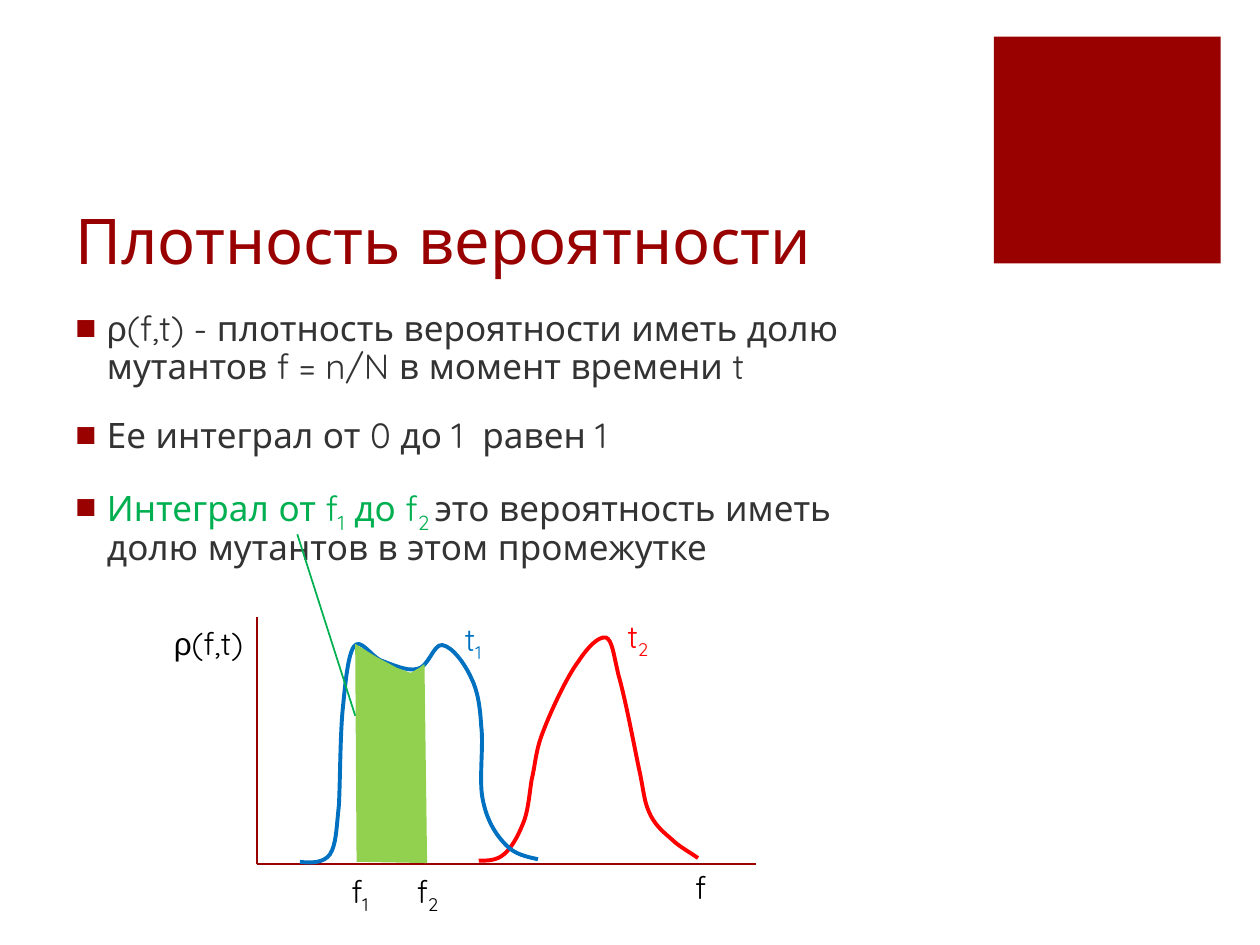
from lxml import etree
from pptx import Presentation
from pptx.dml.color import RGBColor
from pptx.enum.shapes import MSO_CONNECTOR, MSO_SHAPE
from pptx.enum.text import MSO_ANCHOR
from pptx.oxml.ns import qn
from pptx.util import Pt

STRAIGHT = MSO_CONNECTOR.STRAIGHT
RECTANGLE = MSO_SHAPE.RECTANGLE
TOP, BOTTOM = MSO_ANCHOR.TOP, MSO_ANCHOR.BOTTOM

DARK_RED = RGBColor(0x99, 0x00, 0x00)
GREY = RGBColor(0x33, 0x33, 0x33)
BLACK = RGBColor(0x00, 0x00, 0x00)
GREEN = RGBColor(0x00, 0xB0, 0x50)
LIGHT_GREEN = RGBColor(0x92, 0xD0, 0x50)
BLUE = RGBColor(0x00, 0x70, 0xC0)
RED = RGBColor(0xFF, 0x00, 0x00)
MAIN_FONT, GREEK_FONT = "Quicksand", "Arial"
SUBSCRIPT = "-25000"

# Content: a span is (text, colour, kind), kind being "", "greek" or "sub"
TITLE = [[("Плотность вероятности", DARK_RED, "")]]
BULLETS = [
    [("ρ", GREY, "greek"),
     ("(f,t) - плотность вероятности иметь долю мутантов f = n/N в момент времени t", GREY, "")],
    [("Ее интеграл от 0 до 1  равен 1", GREY, "")],
    [("Интеграл от f", GREEN, ""), ("1", GREEN, "sub"), (" до f", GREEN, ""),
     ("2 ", GREEN, "sub"), ("это вероятность иметь долю мутантов в этом промежутке", GREY, "")],
]
# Chart labels: left, top, width, spans
LABELS = [
    (92.2, 352.8, 73.4, [("ρ", BLACK, "greek"), ("(f,t)", BLACK, "")]),
    (390.2, 492.5, 28.8, [("f", BLACK, "")]),
    (193.7, 494.6, 27.4, [("f", BLACK, ""), ("1", BLACK, "sub")]),
    (231.1, 494.6, 27.4, [("f", BLACK, ""), ("2", BLACK, "sub")]),
    (258.5, 350.6, 53.3, [("t", BLUE, ""), ("1", BLUE, "sub")]),
    (351.4, 349.2, 53.3, [("t", RED, ""), ("2", RED, "sub")]),
]
ORIGIN = (146.9, 493.9)
AXES = [(ORIGIN, (432, 493.9)), (ORIGIN, (146.9, 352.8))]
POINTER = ((169.9, 305.3), (203, 409))

# Curves: a start point, then two handles and an end point per segment
CURVE_T2 = [
    (273.6, 491.8), (278.6, 491.8), (283.7, 491.8), (288, 488.2),
    (292.3, 484.6), (295.9, 478.1), (298.8, 470.9), (301.7, 464.4), (302.4, 455), (303.8, 445.7),
    (306, 437), (306, 429.1), (310.3, 418.3), (314.6, 406.8), (324, 386.6), (330.5, 378),
    (336.2, 369.4), (342, 363.6), (346.3, 364.3), (349.9, 365.8), (350.6, 373.7), (353.5, 385.9),
    (357.1, 398.2), (362.2, 424.8), (365, 438.5), (367.9, 451.4), (367.9, 457.2), (370.8, 463.7),
    (373.7, 470.9), (378.7, 475.2), (383.8, 479.5), (388.1, 483.8), (393.8, 486.7), (398.9, 490.3),
]
CURVE_T1 = [
    (171.4, 492.5), (177.8, 493.2), (185, 493.2), (188.6, 488.2),
    (192.2, 482.4), (192.2, 473.8), (193.7, 460.1), (194.4, 446.4), (194.4, 421.2), (195.8, 406.1),
    (197.3, 391), (198.7, 374.4), (202.3, 369.4), (205.9, 364.3), (211.7, 374.4), (217.4, 377.3),
    (223.2, 379.4), (232.6, 383.8), (238.3, 382.3), (244.8, 381.6), (247.7, 367.9), (252.7, 368.6),
    (258.5, 369.4), (265.7, 379.4), (269.3, 387.4), (272.9, 394.6), (274.3, 403.2), (275, 414.7),
    (276.5, 426.2), (273.6, 445.7), (275.8, 456.5), (277.9, 468), (283, 476.6), (288.7, 482.4),
    (293.8, 488.2), (301, 489.6), (307.4, 491),
]
AREA = [(203.8, 492.5), (203, 367.9), (214.6, 375.1), (226.8, 381.6),
        (234.7, 384.5), (239.8, 381.6), (242.6, 379.4), (244.1, 493.2)]


def add_bullet(para):
    properties = para._p.get_or_add_pPr()
    properties.set("marL", str(Pt(18)))
    properties.set("indent", str(-Pt(18)))
    colour = etree.SubElement(properties, qn("a:buClr"))
    etree.SubElement(colour, qn("a:srgbClr")).set("val", str(DARK_RED))
    etree.SubElement(properties, qn("a:buFont")).set("typeface", GREEK_FONT)
    etree.SubElement(properties, qn("a:buChar")).set("char", "■")


def add_text(page, place, paragraphs, size, anchor=TOP, wrap=True, bullets=False):
    box = page.shapes.add_textbox(*map(Pt, place))
    frame = box.text_frame
    frame.word_wrap, frame.vertical_anchor = wrap, anchor
    for index, spans in enumerate(paragraphs):
        para = frame.paragraphs[0] if index == 0 else frame.add_paragraph()
        if bullets:
            para.line_spacing = 0.9
            para.space_before = Pt(18 if index else 0)
            add_bullet(para)
        for text, colour, kind in spans:
            span = para.add_run()
            span.text = text
            font_name = GREEK_FONT if kind == "greek" else MAIN_FONT
            for name, value in {"size": Pt(size), "name": font_name}.items():
                setattr(span.font, name, value)
            span.font.color.rgb = colour
            if kind == "sub":
                span.font._element.set("baseline", SUBSCRIPT)


def add_line(page, start, end, colour):
    line = page.shapes.add_connector(STRAIGHT, *map(Pt, start + end))
    line.line.color.rgb = colour
    line.line.width = Pt(1)
    etree.SubElement(line._element.spPr, qn("a:effectLst"))


def add_outline(page, points, closed):
    emu_points = [(Pt(x), Pt(y)) for x, y in points]
    builder = page.shapes.build_freeform(*emu_points[0])
    builder.add_line_segments(emu_points[1:], close=closed)
    shape = builder.convert_to_shape()
    shape.shadow.inherit = False
    return shape


def add_curve(page, points, colour):
    shape = add_outline(page, points, closed=False)
    shape.fill.background()
    shape.line.color.rgb = colour
    shape.line.width = Pt(2.25)
    # Join every three straight steps into one Bézier segment
    steps = list(shape._element.iter(qn("a:lnTo")))
    for first in range(0, len(steps), 3):
        bezier = etree.Element(qn("a:cubicBezTo"))
        steps[first].addprevious(bezier)
        for step in steps[first:first + 3]:
            bezier.append(step[0])
            step.getparent().remove(step)


def main():
    deck = Presentation()
    deck.slide_width, deck.slide_height = Pt(720), Pt(540)
    page = deck.slides.add_slide(deck.slide_layouts[6])

    # Corner square
    square = page.shapes.add_shape(RECTANGLE, Pt(568), Pt(21), Pt(129.6), Pt(129.6))
    square.shadow.inherit = False
    square.fill.solid()
    square.fill.fore_color.rgb = DARK_RED
    square.line.fill.background()

    # Title and bullets
    add_text(page, (36, 72, 512.6, 90), TITLE, 36, anchor=BOTTOM)
    add_text(page, (36, 174.2, 500.4, 164.9), BULLETS, 20, bullets=True)

    # Chart axes, curves and shaded integral
    for start, end in AXES:
        add_line(page, start, end, DARK_RED)
    add_curve(page, CURVE_T2, RED)
    add_curve(page, CURVE_T1, BLUE)
    area = add_outline(page, AREA, closed=True)
    area.fill.solid()
    area.fill.fore_color.rgb = LIGHT_GREEN
    area.line.fill.background()
    add_line(page, *POINTER, GREEN)

    # Chart labels
    for left, top, width, spans in LABELS:
        add_text(page, (left, top, width, 28.8), [spans], 18, wrap=False)

    deck.save("out.pptx")


if __name__ == "__main__":
    main()
